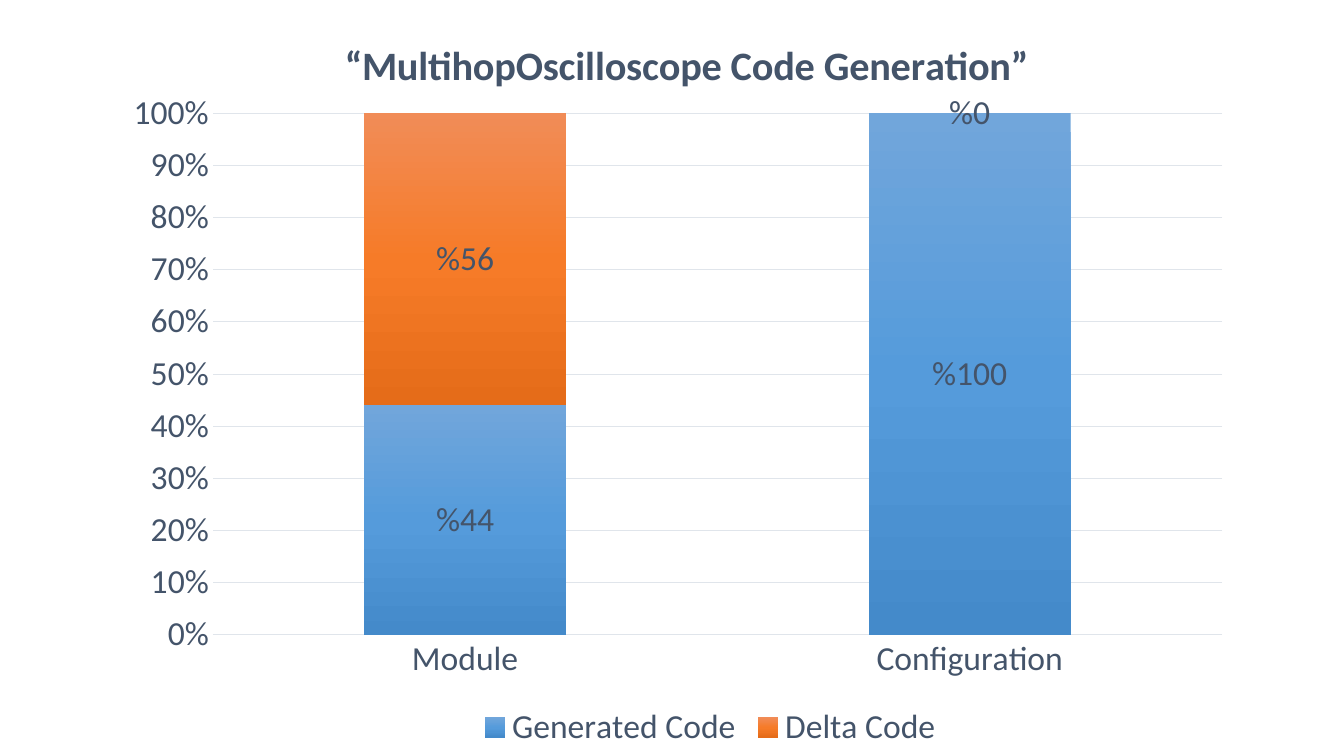
from pptx import Presentation
from pptx import util as u
from pptx.chart.data import CategoryChartData
from pptx.dml.color import RGBColor
from pptx.enum import chart as kinds
from pptx.oxml import parse_xml
from pptx.oxml.ns import nsdecls, qn

SLATE = RGBColor(0x44, 0x54, 0x6A)
GRID = RGBColor(0xE0, 0xE5, 0xEB)
BLUES = [RGBColor(0x71, 0xA6, 0xDB), RGBColor(0x55, 0x9B, 0xDB), RGBColor(0x44, 0x8A, 0xCA)]
ORANGES = [RGBColor(0xF1, 0x8C, 0x57), RGBColor(0xF6, 0x7B, 0x28), RGBColor(0xE5, 0x6C, 0x19)]

TITLE = "“MultihopOscilloscope Code Generation”"
CATEGORIES = ["Module", "Configuration"]
SERIES = [("Generated Code", [0.44, 1], BLUES), ("Delta Code", [0.56, 0], ORANGES)]
LABEL_FORMAT = "%0"


def style_font(font, size=24, bold=False):
    font.name = "Calibri"
    font.size = u.Pt(size)
    font.bold = bold
    font.color.rgb = SLATE


def style_line(line):
    line.color.rgb = GRID
    line.width = u.Pt(0.75)


def place(element, index, inner=False, **fractions):
    """Position a chart part by fractions of the chart area."""
    for layout in element.findall(qn("c:layout")):
        element.remove(layout)
    target = '<c:layoutTarget val="inner"/>' if inner else ""
    modes = "".join(f'<c:{key}Mode val="edge"/>' for key in "xy")
    values = "".join(f'<c:{key} val="{value}"/>' for key, value in fractions.items())
    element.insert(index, parse_xml(
        f'<c:layout {nsdecls("c")}><c:manualLayout>{target}{modes}{values}'
        "</c:manualLayout></c:layout>"))


def fill_gradient(series, colours):
    """Fill a series from top to bottom with evenly spaced colours."""
    step = 100000 // (len(colours) - 1)
    stops = "".join(
        f'<a:gs pos="{number * step}"><a:srgbClr val="{colour}"/></a:gs>'
        for number, colour in enumerate(colours))
    series._element.get_or_add_spPr().insert(0, parse_xml(
        f'<a:gradFill {nsdecls("a")} rotWithShape="1"><a:gsLst>{stops}</a:gsLst>'
        '<a:lin ang="5400000" scaled="0"/></a:gradFill>'))


def add_code_chart(slide):
    data = CategoryChartData(number_format=LABEL_FORMAT)
    data.categories = CATEGORIES
    for name, values, _ in SERIES:
        data.add_series(name, values)
    chart = slide.shapes.add_chart(
        kinds.XL_CHART_TYPE.COLUMN_STACKED_100,
        u.Cm(2.79), 0, u.Cm(28.58), u.Cm(19.05), data).chart
    style_font(chart.font)
    place(chart._chartSpace.chart.plotArea, 0, inner=True, x=0.09, y=0.15, w=0.89, h=0.69)
    return chart


def format_title(chart):
    frame = chart.chart_title.text_frame
    frame.text = TITLE
    style_font(frame.paragraphs[0].runs[0].font, 28.8, True)
    chart.chart_title.include_in_layout = False
    place(chart.chart_title._element, 1, x=0.2, y=0.04)


def format_legend(chart):
    chart.has_legend = True
    legend = chart.legend
    legend.position = kinds.XL_LEGEND_POSITION.BOTTOM
    legend.include_in_layout = False
    style_font(legend.font)
    place(legend._element, 1, x=0.32, y=0.93)


def format_axes(chart):
    for axis in (chart.category_axis, chart.value_axis):
        axis.major_tick_mark = axis.minor_tick_mark = kinds.XL_TICK_MARK.NONE
        style_font(axis.tick_labels.font)
    style_line(chart.category_axis.format.line)
    values = chart.value_axis
    values.minimum_scale, values.maximum_scale, values.major_unit = 0, 1, 0.1
    values.format.line.fill.background()
    values.tick_labels.number_format = "0%"
    values.tick_labels.number_format_is_linked = False
    style_line(values.major_gridlines.format.line)


def format_columns(chart):
    plot = chart.plots[0]
    plot.gap_width = 150
    plot.overlap = 100
    plot.vary_by_categories = False
    for series, (_, _, colours) in zip(plot.series, SERIES):
        fill_gradient(series, colours)
        labels = series.data_labels
        labels.show_value = True
        labels.position = kinds.XL_LABEL_POSITION.CENTER
        labels.number_format = LABEL_FORMAT
        labels.number_format_is_linked = False
        style_font(labels.font)


def main():
    deck = Presentation()
    deck.slide_width, deck.slide_height = u.Cm(33.87), u.Cm(19.05)
    slide = deck.slides.add_slide(deck.slide_layouts[6])

    # Chart with its own title, legend and axes
    chart = add_code_chart(slide)
    format_title(chart)
    format_legend(chart)
    format_axes(chart)
    format_columns(chart)

    deck.save("out.pptx")


main()
